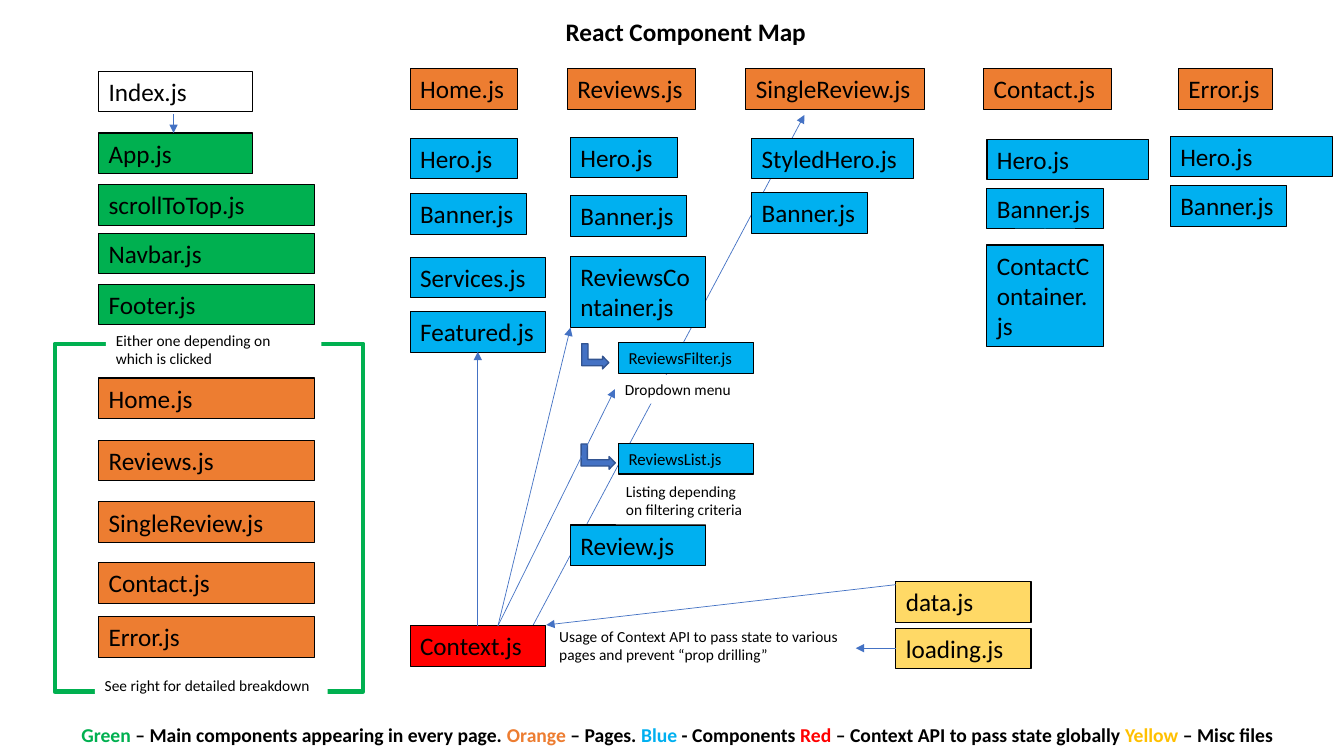
from dataclasses import dataclass
from lxml import etree
from pptx import Presentation
from pptx import util as u
from pptx.dml.color import RGBColor
from pptx.enum import shapes, text
from pptx.oxml.ns import qn


@dataclass(frozen=True)
class Theme:
    font: str = "Calibri"
    black: str = "000000"
    white: str = "FFFFFF"
    green: str = "00B050"
    orange: str = "ED7D31"
    blue: str = "00B0F0"
    red: str = "FF0000"
    yellow: str = "FFD966"
    gold: str = "FFC000"
    arrow: str = "4472C4"
    arrow_edge: str = "325491"
    body: float = 18
    legend: float = 14
    small: float = 12
    note: float = 11


class Map:
    def __init__(self, slide, theme):
        self.slide = slide
        self.theme = theme

    def shape(self, kind, bounds, fill=None, line=None, width=0.75):
        box = self.slide.shapes.add_shape(kind, *map(u.Pt, bounds))
        box.shadow.inherit = False
        if fill:
            box.fill.solid()
            box.fill.fore_color.rgb = RGBColor.from_string(fill)
        else:
            box.fill.background()
        if line:
            box.line.color.rgb = RGBColor.from_string(line)
            box.line.width = u.Pt(width)
        else:
            box.line.fill.background()
        return box

    def add_words(self, box, runs, size, bold=False, align=text.PP_ALIGN.LEFT):
        frame = box.text_frame
        frame.word_wrap = True
        frame.auto_size = text.MSO_AUTO_SIZE.SHAPE_TO_FIT_TEXT
        frame.vertical_anchor = text.MSO_ANCHOR.TOP
        para = frame.paragraphs[0]
        para.alignment = align
        for words, color in runs:
            span = para.add_run()
            span.text = words
            span.font.name = self.theme.font
            span.font.size = u.Pt(size)
            span.font.bold = bold
            span.font.color.rgb = RGBColor.from_string(color)

    def file(self, name, fill, left, top, width, height=29, size=None):
        box = self.shape(shapes.MSO_SHAPE.RECTANGLE, (left, top, width, height), fill, self.theme.black)
        self.add_words(box, [(name, self.theme.black)], size or self.theme.body)

    def note(self, words, *bounds):
        box = self.shape(shapes.MSO_SHAPE.RECTANGLE, bounds, self.theme.white)
        self.add_words(box, [(words, self.theme.black)], self.theme.note)

    def label(self, runs, bounds, size, align=text.PP_ALIGN.LEFT):
        box = self.slide.shapes.add_textbox(*map(u.Pt, bounds))
        self.add_words(box, runs, size, True, align)

    def bend(self, *bounds):
        box = self.shape(shapes.MSO_SHAPE.BENT_UP_ARROW, bounds, self.theme.arrow, self.theme.arrow_edge, 1)
        box.rotation = 90

    def arrow(self, *ends):
        link = self.slide.shapes.add_connector(shapes.MSO_CONNECTOR.STRAIGHT, *map(u.Pt, ends))
        link.line.color.rgb = RGBColor.from_string(self.theme.arrow)
        link.line.width = u.Pt(0.5)
        etree.SubElement(link.get_or_add_ln(), qn("a:tailEnd"), type="triangle")
        etree.SubElement(link._element.spPr, qn("a:effectLst"))


deck = Presentation()
deck.slide_width, deck.slide_height = u.Pt(960), u.Pt(540)
theme = Theme()
page = Map(deck.slides.add_slide(deck.slide_layouts[6]), theme)

page.arrow(380.9, 446.4, 574.6, 82.1)

app_files = [
    ("Index.js", None, 51, 110),
    ("App.js", theme.green, 95, 110),
    ("scrollToTop.js", theme.green, 132, 154),
    ("Navbar.js", theme.green, 166.5, 154),
    ("Footer.js", theme.green, 203, 154),
    ("Home.js", theme.orange, 270, 154),
    ("Reviews.js", theme.orange, 314.5, 154),
    ("SingleReview.js", theme.orange, 358.5, 154),
    ("Contact.js", theme.orange, 402, 154),
    ("Error.js", theme.orange, 440.5, 154),
]
for name, fill, top, width in app_files:
    page.file(name, fill, 70.5, top, width)

pages = [
    ("Home.js", 293, 76.5),
    ("Reviews.js", 405.4, 91.5),
    ("SingleReview.js", 532.8, 127.5),
    ("Contact.js", 702.7, 91.5),
    ("Error.js", 841.7, 67.5),
]
for name, left, width in pages:
    page.file(name, theme.orange, left, 49, width)

components = [
    (293, [("Hero.js", 98.6, 76.5), ("Banner.js", 138.3, 83),
           ("Services.js", 183.6, 96.5), ("Featured.js", 222.5, 96.5)]),
    (407.5, [("Hero.js", 98, 76.5), ("Banner.js", 139.7, 83),
             ("ReviewsContainer.js", 183, 96.5, 51), ("Review.js", 375, 96.5)]),
    (442, [("ReviewsFilter.js", 244.8, 96.5, 21.8, theme.small),
           ("ReviewsList.js", 316.8, 96.5, 21.8, theme.small)]),
    (537, [("StyledHero.js", 98.6, 115.5), ("Banner.js", 137.5, 83)]),
    (705, [("Hero.js", 99.4, 115.5), ("Banner.js", 134.6, 83),
           ("ContactContainer.js", 175, 83, 72.7)]),
    (836, [("Hero.js", 97.2, 115.5), ("Banner.js", 132.5, 83)]),
]
for left, files in components:
    for name, *place in files:
        page.file(name, theme.blue, left, *place)

page.file("Context.js", theme.red, 293, 447, 96.5)
page.file("data.js", theme.yellow, 640, 415.4, 96.5)
page.file("loading.js", theme.yellow, 640, 448.6, 96.5)

page.shape(shapes.MSO_SHAPE.RECTANGLE, (39, 245.5, 220.5, 248.5), None, theme.green, 3)
page.note("Either one depending on which is clicked", 75.6, 232.6, 154, 34)
page.note("See right for detailed breakdown", 67.7, 479.5, 166.3, 20.6)
page.note("Dropdown menu", 439.2, 267.8, 99.4, 20.6)
page.note("Listing depending on filtering criteria", 440, 340.6, 99.4, 34)
page.note("Usage of Context API to pass state to various pages and prevent “prop drilling”",
          392.4, 444.2, 213.8, 34)

page.bend(416.2, 244.8, 18, 19.4)
page.bend(418.3, 313.9, 18, 24.5)

links = [
    (124, 81.4, 124, 95),
    (341.3, 447, 341.3, 251.3),
    (355.7, 447, 407.5, 234),
    (355.7, 447, 439.2, 278),
    (640, 417.6, 390.2, 446.4),
    (640, 463, 611.3, 463),
]
for ends in links:
    page.arrow(*ends)

page.label([("React Component Map", theme.black)], (199.4, 8, 581, 29), theme.body, text.PP_ALIGN.CENTER)
page.label([
    ("Green", theme.green),
    (" – Main components appearing in every page. ", theme.black),
    ("Orange", theme.orange),
    (" – Pages. ", theme.black),
    ("Blue", theme.blue),
    (" - Components ", theme.black),
    ("Red", theme.red),
    (" – Context API to pass state globally ", theme.black),
    ("Yellow ", theme.gold),
    ("– Misc files", theme.black),
], (51, 512.6, 873.4, 24.3), theme.legend)

deck.save("out.pptx")
